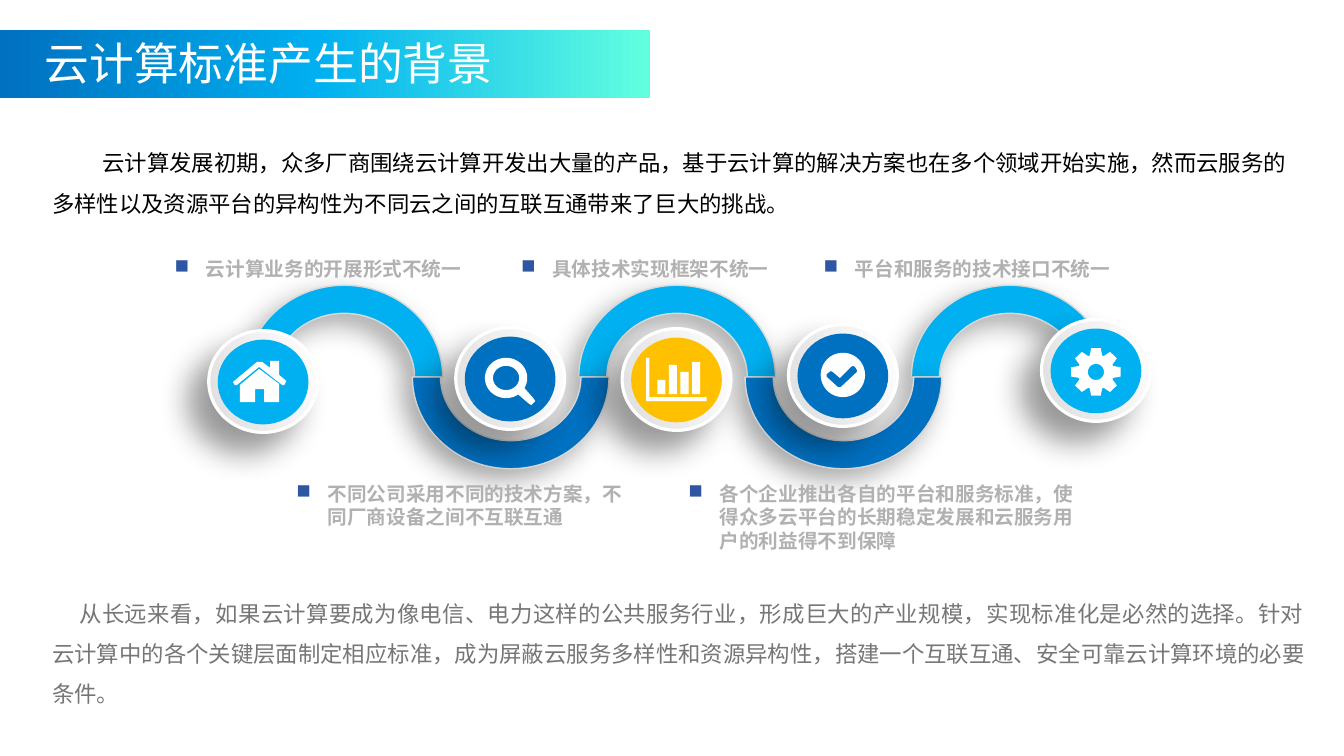
import math
from dataclasses import dataclass

import pptx
import pptx.dml.color
import pptx.enum.shapes
import pptx.enum.text
import pptx.oxml
import pptx.oxml.ns
import pptx.util
from pptx.util import Inches

SHAPE = pptx.enum.shapes.MSO_SHAPE
ALIGN = pptx.enum.text.PP_ALIGN


@dataclass(frozen=True)
class Theme:
    font: str = "Noto Sans CJK SC"
    title_size: int = 32
    body_size: int = 16
    label_size: int = 14
    white: str = "FFFFFF"
    black: str = "000000"
    gray: str = "767676"
    label: str = "B1B1B1"
    bullet: str = "2F56A3"
    sky: str = "00B0F0"
    blue: str = "0070C0"
    mint: str = "62FFDF"
    amber: str = "FFC000"
    silver: str = "DDDEDD"
    edge: str = "D9D9D9"


THEME = Theme()
ARC_SHADOW = dict(alpha=34, blur=20, distance=10, angle=136)
RING_SHADOW = dict(alpha=40, blur=22, distance=20, angle=135)


def rgb(code):
    return pptx.dml.color.RGBColor.from_string(code)


def xml(tag, attributes="", inner=""):
    namespace = pptx.oxml.ns.nsdecls("a")
    return pptx.oxml.parse_xml(f"<a:{tag} {namespace} {attributes}>{inner}</a:{tag}>")


def write(frame, text, size, color, bold=False, align=ALIGN.LEFT, spacing=None,
          left=0, indent=0, bullet=False):
    """Fill a text frame with one paragraph; left and indent are in inches."""
    frame.word_wrap = True
    frame.vertical_anchor = pptx.enum.text.MSO_ANCHOR.TOP
    paragraph = frame.paragraphs[0]
    properties = paragraph._p.get_or_add_pPr()
    properties.set("marL", str(Inches(left)))
    properties.set("indent", str(Inches(indent)))
    if bullet:
        properties.append(xml("buClr", inner=f'<a:srgbClr val="{THEME.bullet}"/>'))
        properties.append(xml("buChar", 'char="■"'))
    paragraph.alignment = align
    paragraph.line_spacing = spacing
    run = paragraph.add_run()
    run.text = text
    run.font.size = pptx.util.Pt(size)
    run.font.bold = bold
    run.font.color.rgb = rgb(color)
    run.font.name = THEME.font
    run._r.get_or_add_rPr().append(xml("ea", f'typeface="{THEME.font}"'))


def add_text(slide, box, text, **text_format):
    frame = slide.shapes.add_textbox(*map(Inches, box)).text_frame
    write(frame, text, **text_format)


def paint(shape, fill, line=None, width=1, shadow=None):
    shape.shadow.inherit = False
    shape.fill.solid()
    shape.fill.fore_color.rgb = rgb(fill)
    if line:
        shape.line.color.rgb = rgb(line)
        shape.line.width = pptx.util.Pt(width)
    else:
        shape.line.fill.background()
    if shadow:
        effects = shape.element.spPr.find(pptx.oxml.ns.qn("a:effectLst"))
        effects.append(xml(
            "outerShdw",
            f'blurRad="{shadow["blur"] * 12700}" dist="{shadow["distance"] * 12700}" '
            f'dir="{shadow["angle"] * 60000}" algn="ctr" rotWithShape="0"',
            f'<a:srgbClr val="{THEME.black}"><a:alpha val="{shadow["alpha"] * 1000}"/></a:srgbClr>'))


def set_gradient(shape, stops, angle):
    """Replace the solid fill by a linear gradient of (percent, color) stops."""
    marks = "".join(f'<a:gs pos="{percent * 1000}"><a:srgbClr val="{color}"/></a:gs>'
                    for percent, color in stops)
    properties = shape.element.spPr
    solid = properties.find(pptx.oxml.ns.qn("a:solidFill"))
    properties.replace(solid, xml("gradFill", 'rotWithShape="1"',
                                  f'<a:gsLst>{marks}</a:gsLst>'
                                  f'<a:lin ang="{angle * 60000}" scaled="0"/>'))


def ellipse(cx, cy, rx, ry, start=0, sweep=360, steps=48):
    angles = [math.radians(start + sweep * step / steps) for step in range(steps + 1)]
    return [(cx + rx * math.cos(a), cy + ry * math.sin(a)) for a in angles]


# Each icon is a list of contours, in inches from the corner of its ring.
def house_icon():
    roof = [(.75, .54), (.73, .54), (.5, .36), (.28, .54), (.26, .54), (.24, .51), (.48, .31),
            (.53, .31), (.61, .37), (.61, .3), (.7, .3), (.7, .44), (.77, .5)]
    walls = [(.7, .71), (.55, .71), (.55, .58), (.46, .58), (.46, .71), (.31, .71),
             (.31, .54), (.5, .38), (.7, .53)]
    return [roof, walls]


def search_icon():
    handle = [(.77, .7), (.79, .73), (.75, .77), (.72, .75)]
    rim = ellipse(.5, .5, .21, .2, start=55, sweep=335)
    return [rim + handle, ellipse(.5, .5, .13, .12)]


def chart_icon():
    axes = [(.84, .72), (.24, .72), (.24, .29), (.27, .29), (.27, .68), (.84, .68)]
    bars = []
    for index, top in enumerate((.51, .36, .43, .33)):
        left = .35 + .115 * index
        bars.append([(left, .65), (left, top), (left + .08, top), (left + .08, .65)])
    return [axes] + bars


def check_icon():
    tick = [(.68, .45), (.66, .42), (.64, .41), (.62, .42), (.51, .53), (.44, .47),
            (.42, .46), (.38, .49), (.38, .52), (.49, .62), (.52, .62), (.68, .47)]
    return [ellipse(.54, .5, .22, .22), tick]


def gear_icon():
    profile = ((-20, .72), (-11, 1), (11, 1), (20, .72))
    teeth = []
    for tooth in range(8):
        for offset, reach in profile:
            angle = math.radians(45 * tooth + offset)
            teeth.append((.54 + .25 * reach * math.cos(angle),
                          .52 + .24 * reach * math.sin(angle)))
    return [teeth, ellipse(.54, .52, .08, .08)]


def add_icon(slide, left, top, contours):
    placed = [[(Inches(left + x), Inches(top + y)) for x, y in contour]
              for contour in contours]
    builder = slide.shapes.build_freeform(*placed[0][0])
    for index, contour in enumerate(placed):
        if index:
            builder.move_to(*contour[0])
        builder.add_line_segments(contour[1:], close=True)
    paint(builder.convert_to_shape(), THEME.white)


def add_medallion(slide, left, top, color, contours):
    ring = slide.shapes.add_shape(SHAPE.OVAL, *map(Inches, (left, top, 1.08, 1.01)))
    paint(ring, THEME.white, THEME.white, 2.25, RING_SHADOW)
    set_gradient(ring, ((0, THEME.white), (100, THEME.silver)), 160)
    disc = slide.shapes.add_shape(SHAPE.OVAL, *map(Inches, (left + .09, top + .09, .9, .84)))
    paint(disc, color)
    add_icon(slide, left, top, contours)


def add_wave(slide, left, top):
    """Draw the arcs, the upper ones beneath the lower, and the medallions along them."""
    for index in (0, 2, 4, 1, 3):
        lower = index % 2
        arc = slide.shapes.add_shape(
            SHAPE.BLOCK_ARC, *map(Inches, (left + .37 + 1.65 * index, top, 1.95, 1.82)))
        arc.adjustments[0], arc.adjustments[1], arc.adjustments[2] = 108, 0, .153
        arc.rotation = 180 * lower
        paint(arc, THEME.blue if lower else THEME.sky, THEME.edge, 1, ARC_SHADOW)
    medallions = ((0, .45, THEME.sky, house_icon()), (2.45, .42, THEME.blue, search_icon()),
                  (5.75, .39, THEME.blue, check_icon()), (8.26, .34, THEME.sky, gear_icon()),
                  (4.1, .43, THEME.amber, chart_icon()))
    for x, y, color, contours in medallions:
        add_medallion(slide, left + x, top + y, color, contours)


def add_labels(slide, top):
    upper, lower = (top, .34, ALIGN.CENTER), (top + 2.23, .81, ALIGN.LEFT)
    labels = (
        (1.54, 3.23, upper, "云计算业务的开展形式不统一"),
        (4.9, 2.99, upper, "具体技术实现框架不统一"),
        (7.98, 3.22, upper, "平台和服务的技术接口不统一"),
        (2.84, 3.61, lower, "不同公司采用不同的技术方案，不同厂商设备之间不互联互通"),
        (6.73, 4.12, lower, "各个企业推出各自的平台和服务标准，使得众多云平台的长期稳定发展"
                            "和云服务用户的利益得不到保障"),
    )
    for left, width, (y, height, align), text in labels:
        add_text(slide, (left, y, width, height), text, size=THEME.label_size,
                 color=THEME.label, bold=True, align=align, left=.31, indent=-.31, bullet=True)


def add_title(slide, left, top, width, height):
    banner = slide.shapes.add_shape(SHAPE.RECTANGLE, *map(Inches, (left, top, width, height)))
    paint(banner, THEME.blue)
    set_gradient(banner, ((0, THEME.blue), (49, THEME.sky), (100, THEME.mint)), 0)
    title = slide.shapes.title
    title.left, title.top, title.width, title.height = map(Inches, (left + .35, top, 6.39, .64))
    write(title.text_frame, "云计算标准产生的背景", size=THEME.title_size, color=THEME.white)
    title.text_frame.auto_size = pptx.enum.text.MSO_AUTO_SIZE.NONE
    banner.element.addnext(title.element)


def main():
    deck = pptx.Presentation()
    deck.slide_width, deck.slide_height = Inches(13.33), Inches(7.5)
    slide = deck.slides.add_slide(deck.slide_layouts[5])
    add_text(slide, (.42, 1.3, 12.63, .91),
             "云计算发展初期，众多厂商围绕云计算开发出大量的产品，基于云计算的解决方案也在多个领域开始实施，"
             "然而云服务的多样性以及资源平台的异构性为不同云之间的互联互通带来了巨大的挑战。",
             size=THEME.body_size, color=THEME.black, spacing=1.5, indent=.5)
    add_text(slide, (.42, 5.77, 12.63, 1.31),
             "从长远来看，如果云计算要成为像电信、电力这样的公共服务行业，形成巨大的产业规模，实现标准化是必然的选择。"
             "针对云计算中的各个关键层面制定相应标准，成为屏蔽云服务多样性和资源异构性，"
             "搭建一个互联互通、安全可靠云计算环境的必要条件。",
             size=THEME.body_size, color=THEME.gray, spacing=1.5, indent=.27, align=ALIGN.JUSTIFY)
    add_wave(slide, 2.07, 2.83)
    add_labels(slide, 2.5)
    add_title(slide, -.01, .3, 6.46, .67)
    deck.save("out.pptx")


if __name__ == "__main__":
    main()
